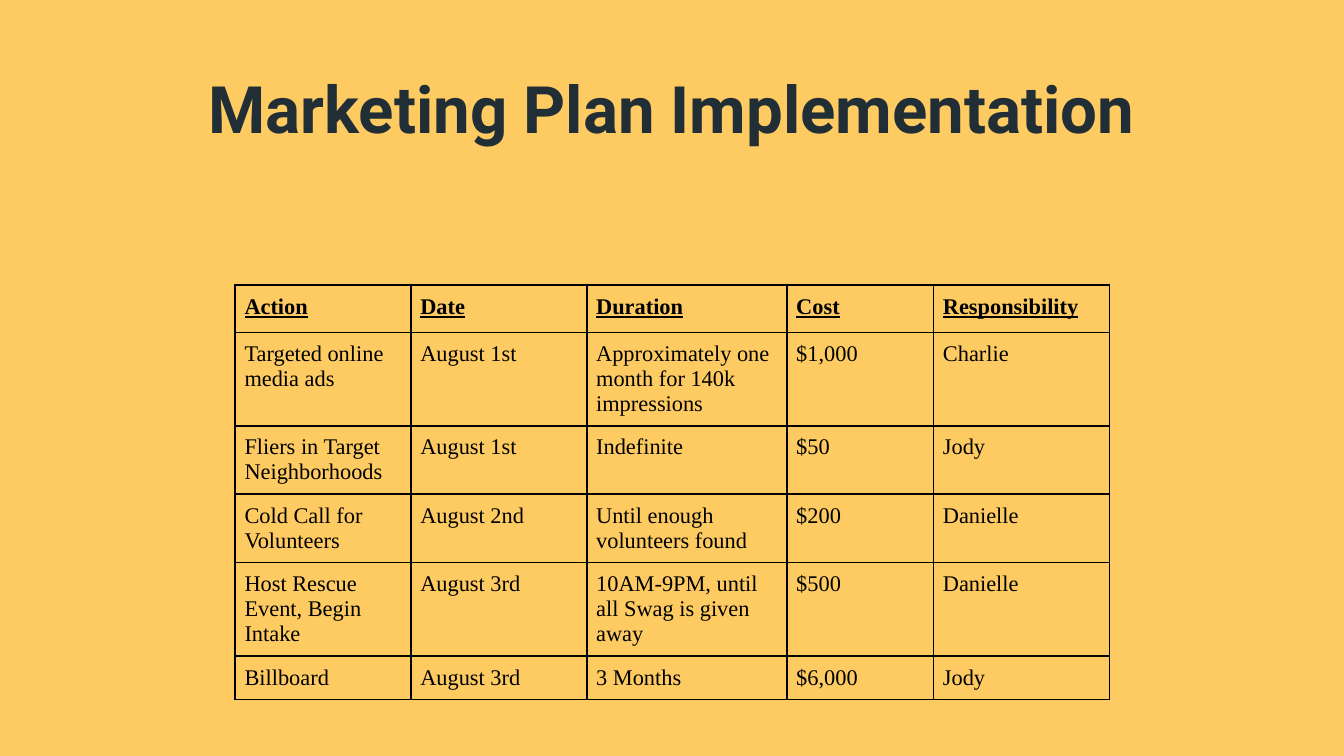
from typing import NamedTuple

from lxml.etree import SubElement
from pptx import Presentation
from pptx.dml.color import RGBColor
from pptx.enum.text import MSO_ANCHOR as Anchor, PP_ALIGN as Align
from pptx.oxml.ns import qn
from pptx.util import Pt

GOLD = RGBColor(0xFD, 0xCB, 0x62)
SLATE = RGBColor(0x21, 0x2E, 0x36)
BLACK = RGBColor(0, 0, 0)

WIDTHS = (94.2, 94.2, 107.2, 78.6, 94.2)
HEAD = ("Action", "Date", "Duration", "Cost", "Responsibility")


class Task(NamedTuple):
    action: str
    date: str
    span: str
    cost: str
    owner: str
    height: float


TASKS = (
    Task("Targeted online media ads", "August 1st",
         "Approximately one month for 140k impressions", "$1,000", "Charlie", 50),
    Task("Fliers in Target Neighborhoods", "August 1st",
         "Indefinite", "$50", "Jody", 36.6),
    Task("Cold Call for Volunteers", "August 2nd",
         "Until enough volunteers found", "$200", "Danielle", 36.6),
    Task("Host Rescue Event, Begin Intake", "August 3rd",
         "10AM-9PM, until all Swag is given away", "$500", "Danielle", 50),
    Task("Billboard", "August 3rd", "3 Months", "$6,000", "Jody", 23.3),
)


def add_edges(cell) -> None:
    props = cell._tc.get_or_add_tcPr()
    for at, side in enumerate(("lnL", "lnR", "lnT", "lnB")):
        line = SubElement(props, qn(f"a:{side}"), w=str(Pt(1)))
        fill = SubElement(line, qn("a:solidFill"))
        SubElement(fill, qn("a:srgbClr"), val=str(BLACK))
        props.insert(at, line)


def fill_cell(cell, text: str, head: bool) -> None:
    cell.fill.background()
    cell.margin_left = cell.margin_right = Pt(5)
    cell.margin_top = cell.margin_bottom = Pt(5)
    cell.text = text
    font = cell.text_frame.paragraphs[0].font
    font.name = "Times New Roman"
    font.size = Pt(12)
    font.bold = font.underline = head
    font.color.rgb = BLACK
    add_edges(cell)


def add_title(slide, text: str) -> None:
    title = slide.shapes.title
    title.left, title.top = Pt(61), Pt(29.5)
    title.width, title.height = Pt(598), Pt(45.4)
    frame = title.text_frame
    frame.margin_left = frame.margin_right = Pt(7.2)
    frame.margin_top = frame.margin_bottom = Pt(7.2)
    frame.vertical_anchor = Anchor.TOP
    frame.text = text
    para = frame.paragraphs[0]
    para.alignment = Align.CENTER
    para.font.name = "Roboto"
    para.font.size = Pt(35)
    para.font.bold = True
    para.font.color.rgb = SLATE


def add_plan(slide) -> None:
    rows = [(HEAD, 25.4)] + [(task[:-1], task.height) for task in TASKS]
    total = sum(height for _, height in rows)
    table = slide.shapes.add_table(
        len(rows), len(HEAD), Pt(126), Pt(152.7), Pt(sum(WIDTHS)), Pt(total)
    ).table
    table.first_row = table.horz_banding = False
    for col, width in zip(table.columns, WIDTHS):
        col.width = Pt(width)
    for at, (texts, height) in enumerate(rows):
        table.rows[at].height = Pt(height)
        for cell, text in zip(table.rows[at].cells, texts):
            fill_cell(cell, text, at == 0)


def main() -> None:
    deck = Presentation()
    deck.slide_width, deck.slide_height = Pt(720), Pt(405)
    slide = deck.slides.add_slide(deck.slide_layouts[5])
    slide.background.fill.solid()
    slide.background.fill.fore_color.rgb = GOLD
    add_title(slide, "Marketing Plan Implementation")
    add_plan(slide)
    deck.save("out.pptx")


if __name__ == "__main__":
    main()
